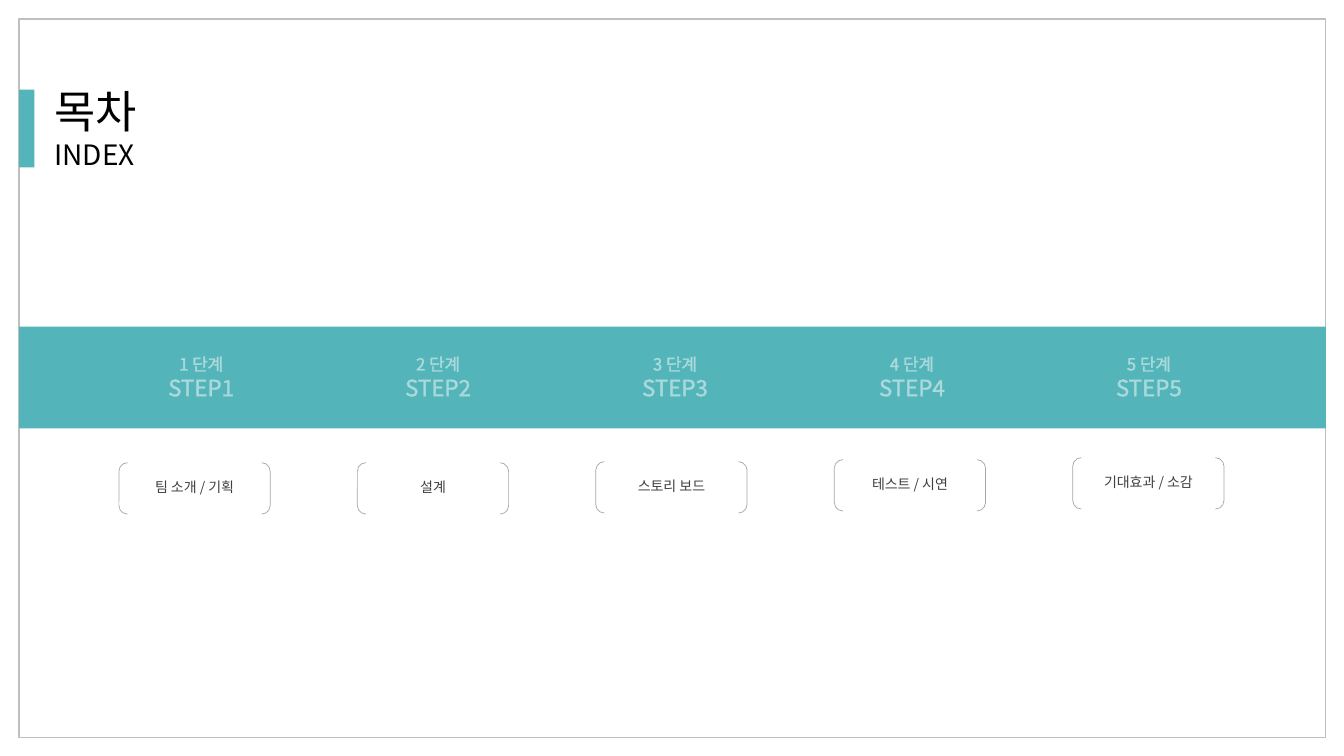
from pptx import Presentation
from pptx.util import Inches, Pt
from pptx.dml.color import RGBColor
from pptx.enum.shapes import MSO_SHAPE
from pptx.enum.text import PP_ALIGN, MSO_AUTO_SIZE
from pptx.oxml import parse_xml
from pptx.oxml.ns import nsdecls
from lxml.etree import SubElement, QName

COLORS = {"teal": "53B4B9", "frame": "BFBFBF", "hook": "A6A6A6",
          "ink": "000000", "label": "404040", "white": "FFFFFF"}
FONT = "Noto Sans CJK KR"
LABELS = [("팀 소개 / 기획", 4.59), ("설계", 4.59), ("스토리 보드", 4.58),
          ("테스트 / 시연", 4.56), ("기대효과 / 소감", 4.54)]


def rgb(name):
    return RGBColor.from_string(COLORS[name])


def draw(parent, kind, box, fill=None, line=None, width=1):
    shape = parent.shapes.add_shape(kind, *map(Inches, box))
    shape.shadow.inherit = False
    if fill:
        shape.fill.solid()
        shape.fill.fore_color.rgb = rgb(fill)
    else:
        shape.fill.background()
    if line:
        shape.line.color.rgb = rgb(line)
        shape.line.width = Pt(width)
    else:
        shape.line.fill.background()
    return shape


def write(parent, box, lines, color="ink", align=PP_ALIGN.LEFT, alpha=50):
    frame = parent.shapes.add_textbox(*map(Inches, box)).text_frame
    frame.word_wrap = True
    frame.auto_size = MSO_AUTO_SIZE.SHAPE_TO_FIT_TEXT
    for i, (text, size) in enumerate(lines):
        para = frame.add_paragraph() if i else frame.paragraphs[0]
        para.alignment = align
        run = para.add_run()
        run.text = text
        run.font.size = Pt(size)
        run.font.name = FONT
        run.font.color.rgb = rgb(color)
        props = run.font._element
        tag = QName(props.find("{*}latin")).namespace
        SubElement(props, f"{{{tag}}}ea", typeface=FONT)
        props.insert(0, parse_xml(
            f'<a:ln {nsdecls("a")} w="9525"><a:solidFill>'
            f'<a:srgbClr val="{COLORS[color]}"><a:alpha val="{alpha * 1000}"/>'
            '</a:srgbClr></a:solidFill></a:ln>'))


def add_title(slide, left, top):
    draw(slide, MSO_SHAPE.RECTANGLE, (left, top, 0.15, 0.77), fill="teal")
    write(slide, (left + 0.25, top - 0.11, 1.37, 0.98),
          [("목차", 32), ("INDEX", 20)])


def add_band(slide, left, top, width):
    draw(slide, MSO_SHAPE.RECTANGLE, (left, top, width, 1.01), fill="teal")
    for i in range(len(LABELS)):
        write(slide, (left + 1.12 + 2.35 * i, top + 0.22, 1.37, 0.57),
              [(f"{i + 1} 단계", 12), (f"STEP{i + 1}", 16)],
              color="white", align=PP_ALIGN.CENTER)


def add_label(slide, left, top, text):
    group = slide.shapes.add_group_shape()
    draw(group, MSO_SHAPE.DOUBLE_BRACKET, (left, top, 1.5, 0.51),
         line="hook", width=0.5)
    write(group, (left, top + 0.11, 1.5, 0.27), [(text, 10)],
          color="label", align=PP_ALIGN.CENTER, alpha=30)


def main():
    deck = Presentation()
    deck.slide_width, deck.slide_height = Inches(13.33), Inches(7.5)
    slide = deck.slides.add_slide(deck.slide_layouts[6])
    edge, width = 0.19, 12.96
    draw(slide, MSO_SHAPE.RECTANGLE, (edge, edge, width, 7.13), line="frame")
    add_title(slide, edge, 0.89)
    add_band(slide, edge, 3.24, width)
    first, last = 1.18, 10.64
    pitch = (last - first) / (len(LABELS) - 1)
    for i, (text, top) in enumerate(LABELS):
        add_label(slide, first + pitch * i, top, text)
    deck.save("out.pptx")


if __name__ == "__main__":
    main()
